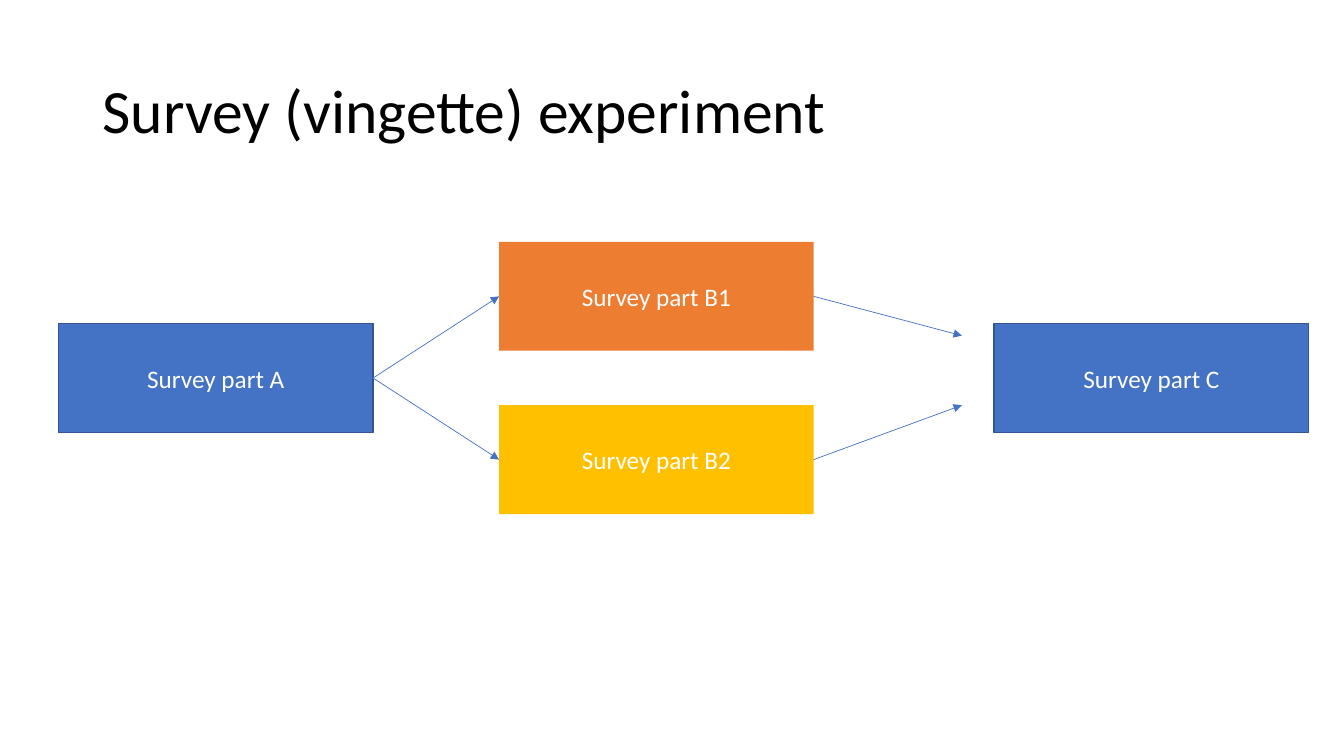
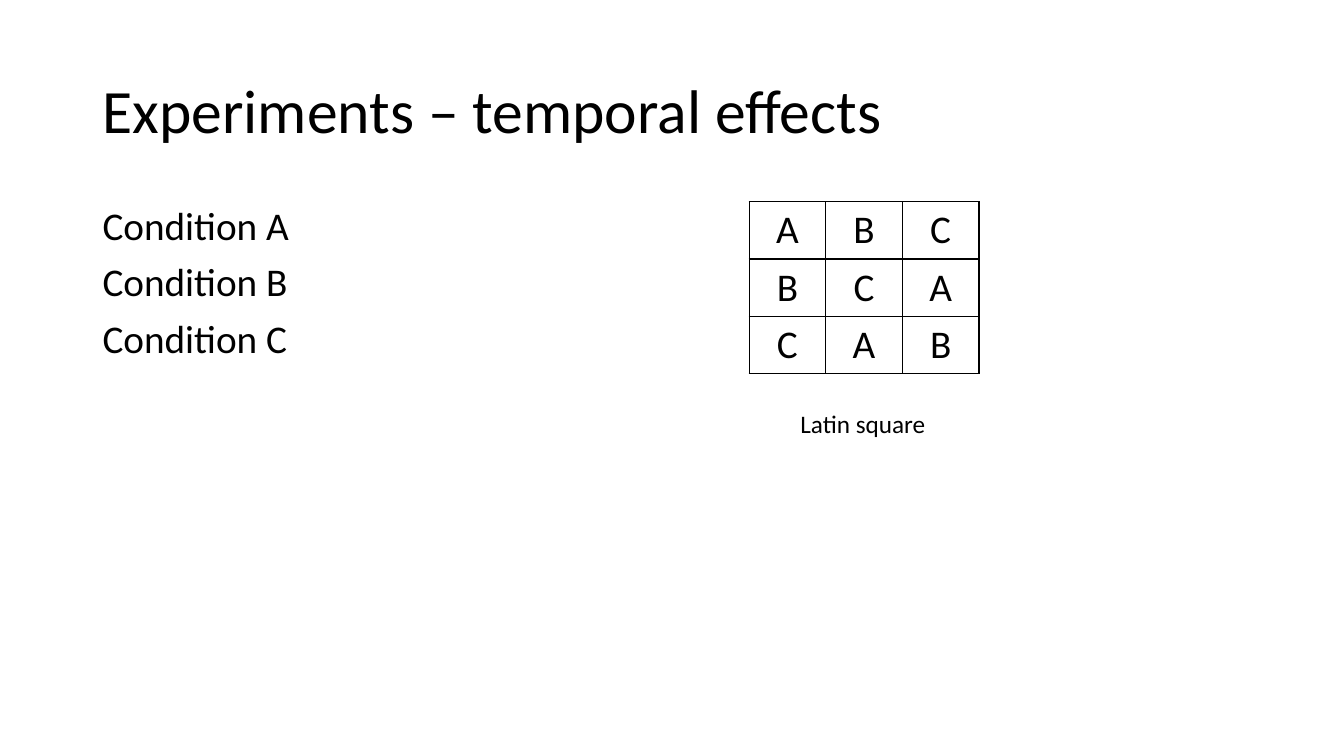
from dataclasses import dataclass

from lxml.etree import SubElement
from pptx import Presentation
from pptx.dml.color import RGBColor
from pptx.enum.shapes import MSO_CONNECTOR, MSO_SHAPE
from pptx.enum.text import MSO_ANCHOR, PP_ALIGN
from pptx.oxml.ns import qn
from pptx.util import Pt

SCALE = 9144  # EMU in one px, 100 px to the inch
TOP, LEFT, BOTTOM, RIGHT = range(4)


@dataclass(frozen=True)
class Theme:
    font: str = "Calibri"
    black: str = "000000"
    white: str = "FFFFFF"
    blue: str = "4472C4"
    navy: str = "325491"
    orange: str = "ED7D31"
    gold: str = "FFC000"
    head: int = 44
    body: int = 28
    label: int = 18
    tight: float = 0.9
    gap: int = 10


THEME = Theme()


def px(*nums):
    return [round(num * SCALE) for num in nums]


def tint(code):
    return RGBColor.from_string(code)


# Text
def write(frame, lines, size, color=THEME.black, align=None, space=None, gap=0):
    for i, line in enumerate(lines):
        para = frame.add_paragraph() if i else frame.paragraphs[0]
        para.alignment = align
        para.line_spacing = space
        if i and gap:
            para.space_before = Pt(gap)
        run = para.add_run()
        run.text = line
        run.font.name = THEME.font
        run.font.size = Pt(size)
        run.font.color.rgb = tint(color)


def add_text(slide, box, lines, size, wrap=True, anchor=MSO_ANCHOR.TOP, **style):
    frame = slide.shapes.add_textbox(*px(*box)).text_frame
    frame.word_wrap = wrap
    frame.vertical_anchor = anchor
    write(frame, lines, size, **style)


def add_page(deck, title):
    slide = deck.slides.add_slide(deck.slide_layouts[6])
    add_text(slide, (92, 40, 1150, 145), [title], THEME.head,
             anchor=MSO_ANCHOR.MIDDLE, space=THEME.tight)
    return slide


# Flow chart parts
def add_part(slide, box, name, fill, edge=None):
    part = slide.shapes.add_shape(MSO_SHAPE.RECTANGLE, *px(*box))
    part.shadow.inherit = False
    part.fill.solid()
    part.fill.fore_color.rgb = tint(fill)
    if edge:
        part.line.color.rgb = tint(edge)
        part.line.width = Pt(1)
    else:
        part.line.fill.background()
    part.text_frame.word_wrap = True
    part.text_frame.vertical_anchor = MSO_ANCHOR.MIDDLE
    write(part.text_frame, [name], THEME.label, THEME.white, PP_ALIGN.CENTER)
    return part


def add_arrow(slide, start, end=None, point=(0, 0)):
    """Run from the right side of start to the left side of end, or to a point."""
    arrow = slide.shapes.add_connector(MSO_CONNECTOR.STRAIGHT, 0, 0, *px(*point))
    arrow.begin_connect(start, RIGHT)
    if end is not None:
        arrow.end_connect(end, LEFT)
    arrow.line.color.rgb = tint(THEME.blue)
    arrow.line.width = Pt(0.5)
    SubElement(arrow.line._get_or_add_ln(), qn("a:tailEnd"), type="triangle")
    SubElement(arrow._element.spPr, qn("a:effectLst"))


def add_flow(slide, box):
    left, top, width, height = box
    wide, high = 312, 108
    mid = top + (height - high) / 2
    first = add_part(slide, (left, mid, wide, high), "Survey part A",
                     THEME.blue, THEME.navy)
    # Two branches, each with the height at which its arrow stops
    rows = [("Survey part B1", THEME.orange, top, 93),
            ("Survey part B2", THEME.gold, top + height - high, 162)]
    for name, fill, y, stop in rows:
        branch = add_part(slide, (left + 437, y, wide, high), name, fill)
        add_arrow(slide, first, branch)
        add_arrow(slide, branch, point=(left + 896, top + stop))
    add_part(slide, (left + width - wide, mid, wide, high), "Survey part C",
             THEME.blue, THEME.navy)


# Latin square
def edge_cell(cell):
    props = cell._tc.get_or_add_tcPr()
    for i, side in enumerate(("lnL", "lnR", "lnT", "lnB")):
        line = props.makeelement(qn(f"a:{side}"), {"w": str(Pt(1))})
        fill = SubElement(line, qn("a:solidFill"))
        SubElement(fill, qn("a:srgbClr"), val=THEME.black)
        props.insert(i, line)


def add_square(slide, box, marks):
    count = len(marks)
    table = slide.shapes.add_table(count, count, *px(*box)).table
    table.first_row = table.horz_banding = False
    for row in range(count):
        for col in range(count):
            cell = table.cell(row, col)
            cell.fill.background()
            edge_cell(cell)
            write(cell.text_frame, [marks[(row + col) % count]], THEME.body,
                  align=PP_ALIGN.CENTER)
    left, top, width, _ = box
    add_text(slide, (left + (width - 146) / 2, top + 200, 146, 40),
             ["Latin square"], THEME.label, wrap=False)


# Slides
def add_survey(deck):
    slide = add_page(deck, "Survey (vingette) experiment")
    add_flow(slide, (58, 240, 1240, 270))


def add_effects(deck):
    slide = add_page(deck, "Experiments – temporal effects")
    marks = "ABC"
    add_text(slide, (92, 200, 250, 180), [f"Condition {mark}" for mark in marks],
             THEME.body, space=THEME.tight, gap=THEME.gap)
    add_square(slide, (743, 200, 228, 171), marks)


def main():
    deck = Presentation()
    deck.slide_width, deck.slide_height = px(1333, 750)
    add_survey(deck)
    add_effects(deck)
    deck.save("out.pptx")


if __name__ == "__main__":
    main()
